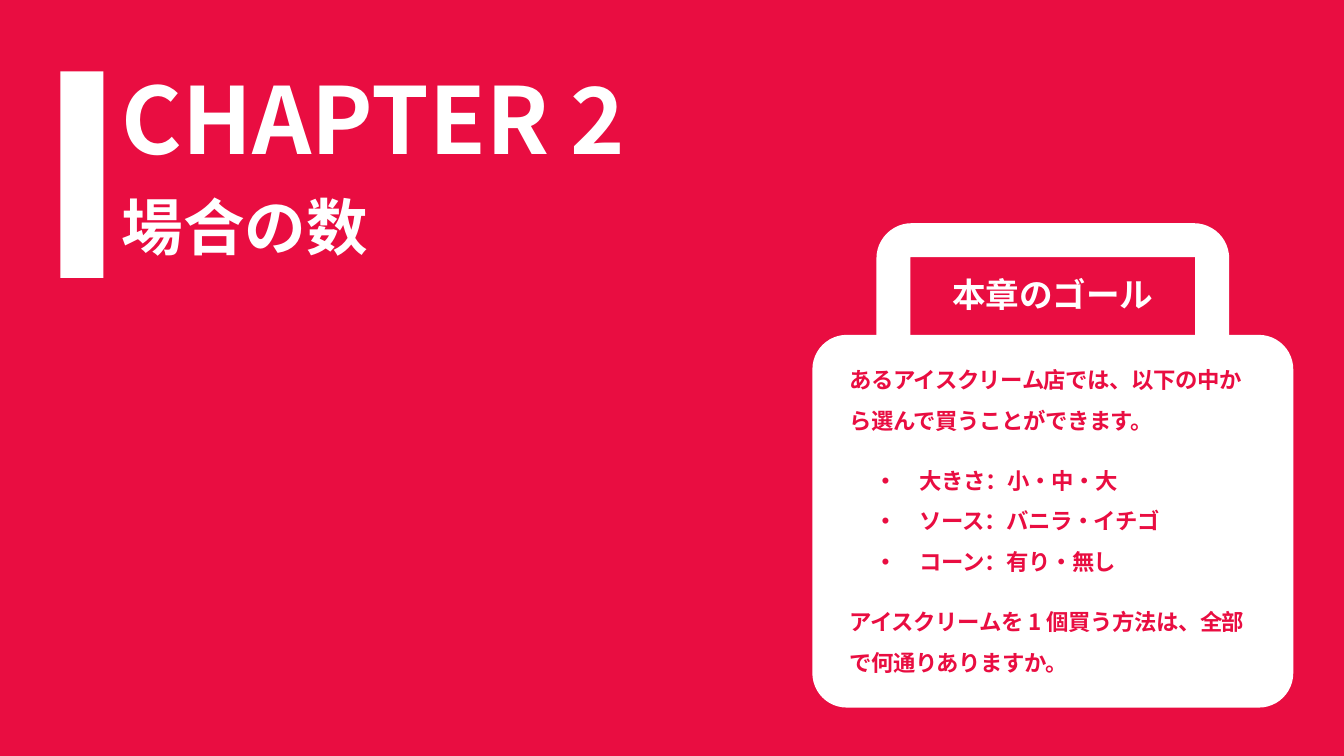
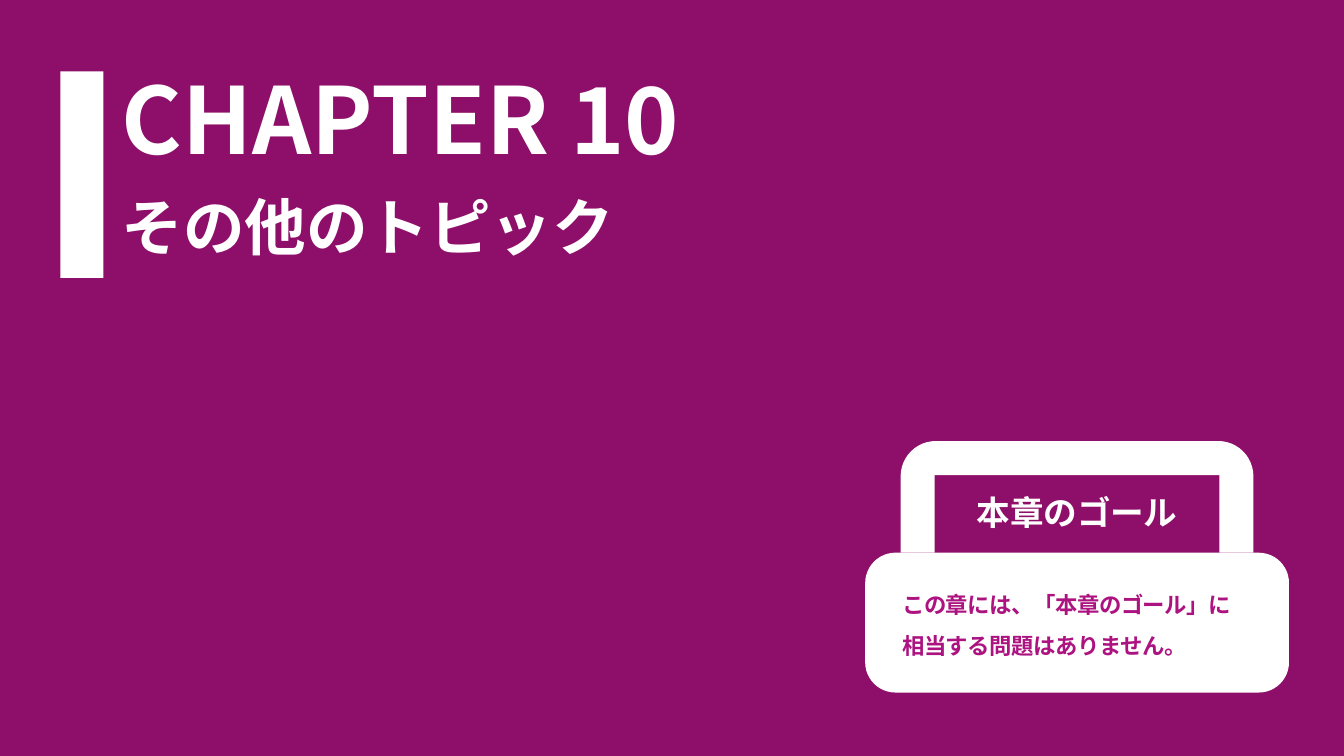
from math import cos, pi, sin
from lxml.etree import SubElement
from pptx import Presentation
from pptx.dml.color import RGBColor
from pptx.enum.shapes import MSO_SHAPE
from pptx.enum.text import MSO_ANCHOR, MSO_AUTO_SIZE, PP_ALIGN
from pptx.oxml.ns import qn
from pptx.util import Inches, Pt

# Grid: 160 columns by 90 rows, each cell 1/12 inch square
CELL = Inches(1 / 12)
COLS, ROWS = 160, 90
WHITE = RGBColor(0xFF, 0xFF, 0xFF)
RED = RGBColor(0xE9, 0x0D, 0x41)
PLUM = RGBColor(0x8E, 0x0F, 0x6A)
PINK = RGBColor(0xAC, 0x13, 0x81)
FONT = "Noto Sans CJK JP"
LEAD = 1.2  # line height as a share of the text size


def cells(*nums):
    return [round(n * CELL) for n in nums]


def place(shape, box):
    shape.left, shape.top, shape.width, shape.height = cells(*box)


def paint(shape):
    shape.shadow.inherit = False
    shape.fill.solid()
    shape.fill.fore_color.rgb = WHITE
    shape.line.fill.background()


def frame(shape):
    text = shape.text_frame
    text.margin_left = text.margin_right = 0
    text.margin_top = text.margin_bottom = 0
    text.word_wrap = True
    text.auto_size = MSO_AUTO_SIZE.NONE
    text.vertical_anchor = MSO_ANCHOR.TOP
    return text


def para(text, first, runs, size, color, lead, gap=0, dot=False,
         align=PP_ALIGN.LEFT):
    """Add one paragraph; runs are (words, tracking in points) pairs."""
    par = text.paragraphs[0] if first else text.add_paragraph()
    props = par._p.get_or_add_pPr()
    props.set("marL", str(Inches(0.7) if dot else 0))
    props.set("indent", str(Inches(-0.38) if dot else 0))
    if dot:
        SubElement(props, qn("a:buChar")).set("char", "•")
    else:
        SubElement(props, qn("a:buNone"))
    par.alignment = align
    par.line_spacing = Pt(lead)
    par.space_before = Pt(0 if first else gap)
    par.space_after = Pt(0)
    for words, track in runs:
        run = par.add_run()
        run.text = words
        font = run.font
        font.size, font.bold, font.name = Pt(size), True, FONT
        font.color.rgb = color
        mark = font._element
        mark.set("spc", str(round(track * 100)))
        SubElement(mark, qn("a:ea")).set("typeface", FONT)


# Chapter number and name beside a white bar
def heading(slide, box, number, track, name):
    left, top, width, height = box
    bar = slide.shapes.add_shape(MSO_SHAPE.RECTANGLE,
                                 *cells(left, top, 5.1, height))
    paint(bar)
    title = slide.shapes.title
    place(title, (left + 7.32, top - 1.08, width - 7.32, height))
    text = frame(title)
    para(text, True, [("CHAPTER ", 0), (number, track)], 66, WHITE, 66 * LEAD)
    para(text, False, [(name, -0.1)], 44, WHITE, 44 * LEAD, 11.5)


# Handle of the bag, an arch with rounded outer corners
def handle(slide, box, thick=4.05, bend=4.2):
    left, top, width, height = box
    right, base = left + width, top + height
    steps = [pi / 2 * i / 12 for i in range(13)]
    outer = [(left + bend - bend * cos(a), top + bend - bend * sin(a))
             for a in steps]
    outer += [(right - bend + bend * sin(a), top + bend - bend * cos(a))
              for a in steps]
    inner = [(right - thick, base), (right - thick, top + thick),
             (left + thick, top + thick), (left + thick, base)]
    dots = [cells(*p) for p in outer + [(right, base)] + inner]
    path = slide.shapes.build_freeform(*cells(left, base), scale=1.0)
    path.add_line_segments(dots, close=True)
    paint(path.convert_to_shape())


# Bag-shaped card with the goal of the chapter
def goal(slide, box, bend, pad, color, lines):
    left, top, width, height = box
    mid = left + width / 2
    card = slide.shapes.add_shape(MSO_SHAPE.ROUNDED_RECTANGLE, *cells(*box))
    card.adjustments[0] = bend / min(width, height)
    paint(card)
    handle(slide, (mid - 21, top - 13.3, 42, 13.3))

    label = slide.shapes.add_textbox(*cells(mid - 14, top - 7.2, 28, 5))
    para(frame(label), True, [("本章のゴール", -0.1)], 24, WHITE, 24 * LEAD,
         align=PP_ALIGN.CENTER)

    body = slide.placeholders[1]
    body.element.addprevious(card.element)
    place(body, (left + 4.4, top + pad, width - 8.9, height - 2 * pad))
    text = frame(body)
    for i, (runs, gap, dot) in enumerate(lines):
        para(text, i == 0, runs, 16, color, 28.8, gap, dot)


def chapter(deck, back, head, bag):
    slide = deck.slides.add_slide(deck.slide_layouts[1])
    fill = slide.background.fill
    fill.solid()
    fill.fore_color.rgb = back
    heading(slide, (7.2, 8.5, 90, 24.6), *head)
    goal(slide, *bag)


def main():
    deck = Presentation()
    deck.slide_width, deck.slide_height = cells(COLS, ROWS)
    tight = -0.3
    choice = [
        ([("あるアイスクリーム店では、以下の中から選んで買うことができます。", tight)],
         0, False),
        ([("大きさ：小・中・大", tight)], 14.4, True),
        ([("ソース：バニラ・イチゴ", tight)], 0, True),
        ([("コーン：有り・無し", tight)], 0, True),
        ([("アイスクリームを ", -0.2), ("1", 0),
          (" 個買う方法は、全部で何通りありますか。", tight)], 14.4, False),
    ]
    none = [([(words, tight)], 0, False) for words in (
        "この章には、「本章のゴール」に", "相当する問題はありません。")]
    chapter(deck, RED, ("2", -0.5, "場合の数"),
            ((96.72, 39.87, 57.25, 44.37), 4.1, 2.16, RED, choice))
    chapter(deck, PLUM, ("10", -0.2, "その他のトピック"),
            ((103, 65.8, 50.45, 16.65), 3.6, 3, PINK, none))
    deck.save("out.pptx")


if __name__ == "__main__":
    main()
